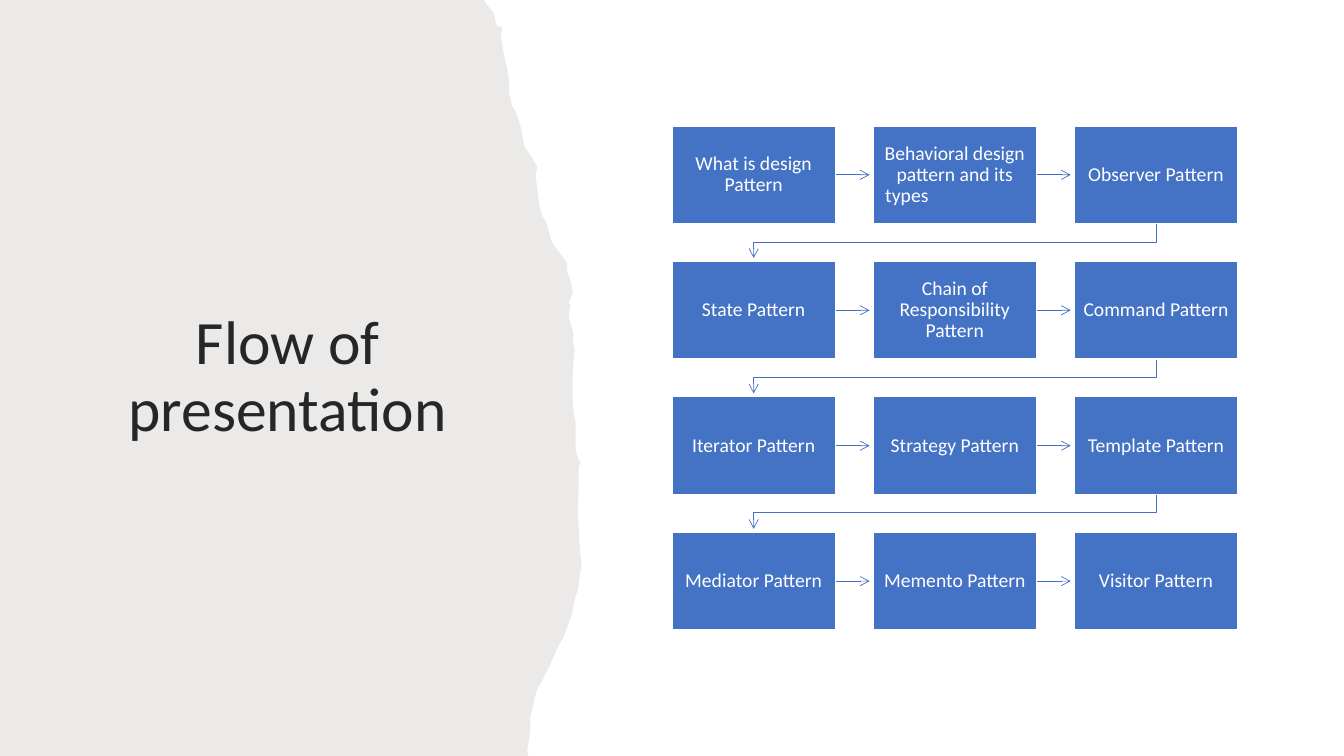
from lxml import etree
from pptx import Presentation
from pptx import util as u
from pptx.dml import color
from pptx.enum import shapes, text
from pptx.oxml import ns

WIDTH, HEIGHT = 13.33, 7.5
BLUE, WHITE, INK, PAPER = "4472C4", "FFFFFF", "262626", "82766A"
COLUMNS, BOX_WIDTH, BOX_HEIGHT = 3, 1.62, 0.97
ARROW_LENGTH, ELBOW_DROP = 0.34, 0.18
TYPES_INDENT = 0.04

TOPICS = [
    [["What is design Pattern"], ["Behavioral design pattern and its", "types"], ["Observer Pattern"]],
    [["State Pattern"], ["Chain of Responsibility Pattern"], ["Command Pattern"]],
    [["Iterator Pattern"], ["Strategy Pattern"], ["Template Pattern"]],
    [["Mediator Pattern"], ["Memento Pattern"], ["Visitor Pattern"]],
]

TORN_EDGE = [
    (4.8, 0), (4.84, 0.06), (4.87, 0.1), (4.9, 0.13), (4.91, 0.2), (4.93, 0.26), (4.98, 0.27),
    (4.97, 0.35), (4.99, 0.5), (5.03, 0.68), (5.05, 0.81), (5.05, 0.93), (5.08, 1.05), (5.11, 1.1),
    (5.16, 1.24), (5.2, 1.45), (5.22, 1.48), (5.24, 1.51), (5.28, 1.57), (5.33, 1.66), (5.31, 1.75),
    (5.32, 1.8), (5.35, 2.04), (5.38, 2.15), (5.42, 2.21), (5.43, 2.25), (5.47, 2.39), (5.49, 2.43),
    (5.56, 2.52), (5.62, 2.6), (5.63, 2.71), (5.67, 2.82), (5.68, 2.9), (5.65, 2.99), (5.64, 3.01),
    (5.66, 3.03), (5.65, 3.07), (5.64, 3.14), (5.66, 3.21), (5.68, 3.28), (5.69, 3.33), (5.68, 3.39),
    (5.7, 3.46), (5.68, 3.7), (5.68, 3.96), (5.69, 4.1), (5.7, 4.15), (5.71, 4.19), (5.71, 4.3),
    (5.71, 4.47), (5.72, 4.51), (5.74, 4.56), (5.76, 4.59), (5.74, 4.63), (5.74, 4.81), (5.73, 5.08),
    (5.75, 5.42), (5.77, 5.64), (5.75, 5.68), (5.75, 5.74), (5.73, 5.86), (5.71, 5.91), (5.67, 6.1),
    (5.59, 6.32), (5.55, 6.39), (5.51, 6.47), (5.45, 6.61), (5.32, 6.86), (5.29, 6.99), (5.26, 7.11),
    (5.26, 7.25), (5.23, 7.44), (5.24, 7.5),
]


def rgb(hex_color):
    return color.RGBColor.from_string(hex_color)


def write(frame, lines, size, ink, inset):
    frame.word_wrap = True
    frame.vertical_anchor = text.MSO_ANCHOR.MIDDLE
    frame.margin_left = frame.margin_right = u.Inches(inset)
    frame.margin_top = frame.margin_bottom = u.Inches(0.08)
    for number, line in enumerate(lines):
        paragraph = frame.add_paragraph() if number else frame.paragraphs[0]
        paragraph.alignment = text.PP_ALIGN.LEFT if number else text.PP_ALIGN.CENTER
        if number:
            paragraph._p.get_or_add_pPr().set("marL", str(u.Inches(TYPES_INDENT)))
        paragraph.line_spacing = 0.9
        paragraph.space_before = paragraph.space_after = u.Pt(0)
        run = paragraph.add_run()
        run.text = line
        run.font.size = u.Pt(size)
        run.font.name = "Calibri"
        run.font.color.rgb = rgb(ink)


def outline(slide, points, close):
    builder = slide.shapes.build_freeform(
        u.Inches(points[0][0]), u.Inches(points[0][1]), scale=1.0)
    builder.add_line_segments([(u.Inches(x), u.Inches(y)) for x, y in points[1:]], close=close)
    shape = builder.convert_to_shape()
    shape.shadow.inherit = False
    return shape


def style_arrow(arrow):
    arrow.line.color.rgb = rgb(BLUE)
    arrow.line.width = u.Pt(0.5)
    etree.SubElement(arrow.line._get_or_add_ln(), ns.qn("a:tailEnd"), type="arrow")


def add_straight_arrow(slide, x, y):
    arrow = slide.shapes.add_connector(
        shapes.MSO_CONNECTOR.STRAIGHT,
        u.Inches(x), u.Inches(y), u.Inches(x + ARROW_LENGTH), u.Inches(y))
    style_arrow(arrow)
    etree.SubElement(arrow._element.spPr, ns.qn("a:effectLst"))


def add_return_arrow(slide, start_x, end_x, y):
    turn = y + ELBOW_DROP
    arrow = outline(
        slide, [(start_x, y), (start_x, turn), (end_x, turn), (end_x, y + ARROW_LENGTH)], False)
    arrow.fill.background()
    style_arrow(arrow)


def add_topic(slide, x, y, lines):
    topic = slide.shapes.add_shape(
        shapes.MSO_SHAPE.RECTANGLE,
        u.Inches(x), u.Inches(y), u.Inches(BOX_WIDTH), u.Inches(BOX_HEIGHT))
    topic.shadow.inherit = False
    topic.fill.solid()
    topic.fill.fore_color.rgb = rgb(BLUE)
    topic.line.color.rgb = rgb(WHITE)
    topic.line.width = u.Pt(1)
    write(topic.text_frame, lines, 14, WHITE, 0.08)


def add_torn_paper(slide, left, top, height):
    edge = [(left + x, top + y) for x, y in TORN_EDGE]
    paper = outline(slide, [(left, top + height), (left, top)] + edge, True)
    paper.fill.solid()
    paper.fill.fore_color.rgb = rgb(PAPER)
    paper.line.fill.background()
    tint = paper._element.spPr.find(ns.qn("a:solidFill"))[0]
    etree.SubElement(tint, ns.qn("a:alpha"), val="15000")


def add_title(slide, left, top, width, height):
    title = slide.shapes.add_textbox(*map(u.Inches, (left, top, width, height)))
    write(title.text_frame, ["Flow of presentation"], 44, INK, 0.1)


def add_flow(slide, left, top, width, height):
    column_step = (width - BOX_WIDTH) / (COLUMNS - 1)
    row_step = (height - BOX_HEIGHT) / (len(TOPICS) - 1)
    for row, topics in enumerate(TOPICS):
        y = top + row * row_step
        for column, lines in enumerate(topics):
            x = left + column * column_step
            if column < COLUMNS - 1:
                add_straight_arrow(slide, x + BOX_WIDTH, y + BOX_HEIGHT / 2)
            elif row < len(TOPICS) - 1:
                add_return_arrow(slide, x + BOX_WIDTH / 2, left + BOX_WIDTH / 2, y + BOX_HEIGHT)
            add_topic(slide, x, y, lines)


def main():
    deck = Presentation()
    deck.slide_width, deck.slide_height = u.Inches(WIDTH), u.Inches(HEIGHT)
    slide = deck.slides.add_slide(deck.slide_layouts[6])
    slide.background.fill.solid()
    slide.background.fill.fore_color.rgb = rgb(WHITE)
    add_torn_paper(slide, 0, 0, HEIGHT)
    add_title(slide, 0.78, 1.71, 4.15, 4.08)
    add_flow(slide, WIDTH / 2, HEIGHT / 6, 5.61, HEIGHT * 2 / 3)
    deck.save("out.pptx")


if __name__ == "__main__":
    main()
